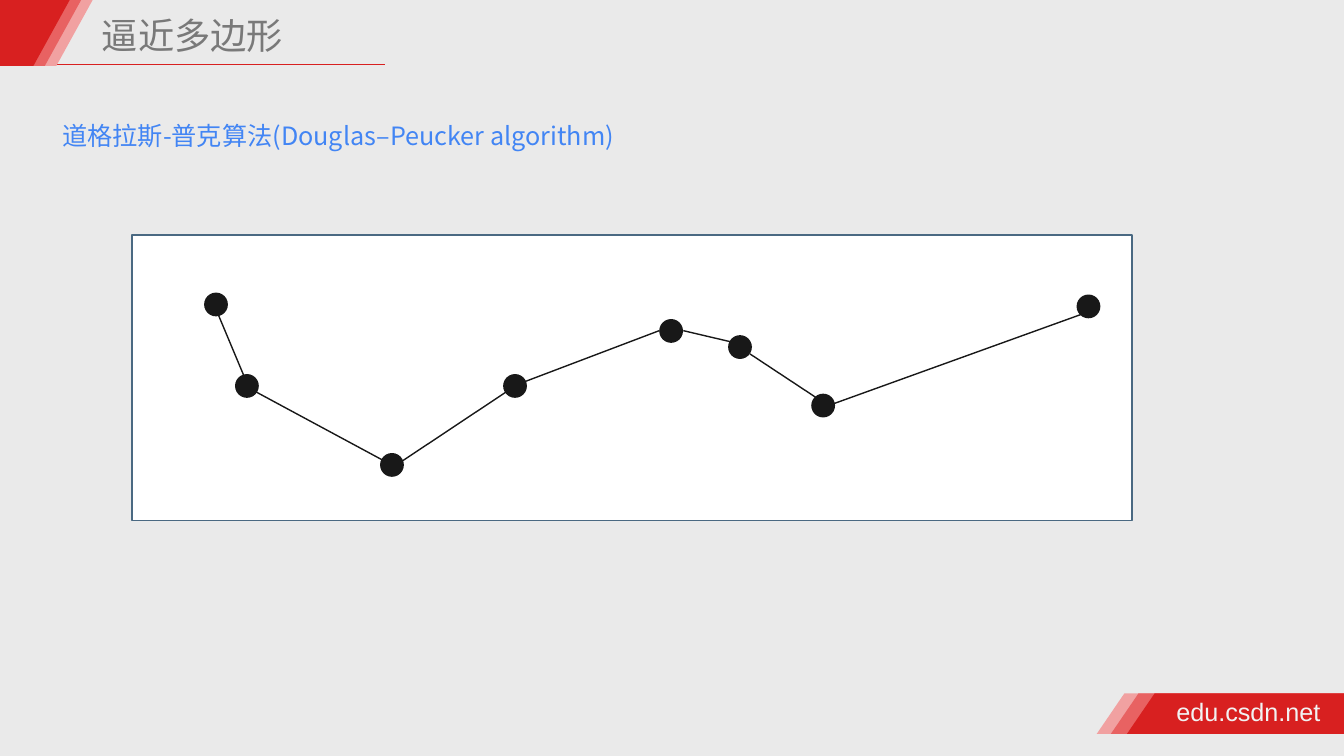
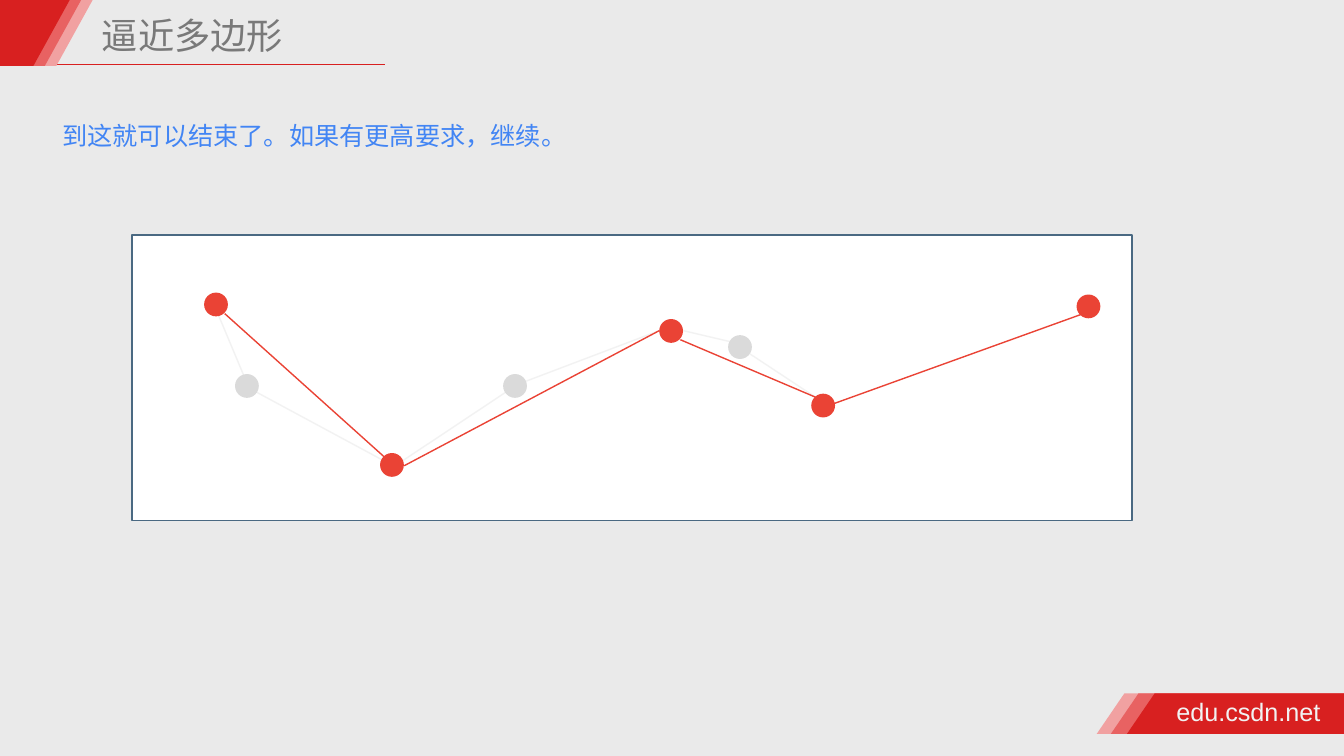
from lxml.etree import SubElement
from pptx import Presentation
from pptx.dml.color import RGBColor
from pptx.enum.shapes import MSO_CONNECTOR as CONNECTOR, MSO_SHAPE as SHAPE
from pptx.enum.text import MSO_ANCHOR as ANCHOR, MSO_AUTO_SIZE as AUTO_SIZE, PP_ALIGN as ALIGN
from pptx.oxml.ns import qn
from pptx.util import Pt

COLORS = {
    "background": "EAEAEA",
    "red": "D82020",
    "coral": "E86262",
    "pink": "F1A1A1",
    "title": "797979",
    "subtitle": "4285F4",
    "footer": "F2F2F2",
    "panel": "FFFFFF",
    "panel_edge": "4A6982",
    "ink": "181818",
    "kept": "EA4335",
    "dropped_dot": "DADADA",
    "dropped_line": "F2F2F2",
}
CJK_FONT = "Noto Sans CJK SC"
BAND_COLORS = ("pink", "coral", "red")
SLIDE_SIZE = (960, 540)
HEADER_BOX = (-1.3, 0, 67.5, 47)
FOOTER_BOX = (783.4, 495.2, 176.6, 29)
TITLE_BOX = (69.1, 3.6, 277.9, 40.3)
SUBTITLE_BOX = (37.4, 82.1, 481, 28.8)
PANEL_BOX = (94.3, 167.8, 714.2, 204)
DOT_SIZE = 17

VERTICES = [
    (60, 49.7), (82.1, 107.9), (185.7, 164.3), (273.6, 107.9),
    (385.1, 68.6), (434.3, 80.1), (493.7, 121.9), (683.2, 51.1),
]
CURVE_LINKS = [
    ((59.8, 52.6), (84.2, 110.9)),
    ((186.5, 164.9), (83.5, 109.4)),
    ((271.4, 109.4), (183.6, 167.8)),
    ((376.6, 68.4), (272.2, 108)),
    ((442.8, 79.9), (393.8, 68.4)),
    ((441.4, 85), (488.2, 115.9)),
]
LAST_LINK = ((681.8, 55.4), (496.1, 122.4))
SHORTCUT_LINKS = [
    ((66.2, 56.2), (180, 158.4)),
    ((194.4, 164.9), (376.6, 68.4)),
    ((391.7, 74.9), (488.2, 115.9)),
]
KEPT_VERTICES = {0, 2, 4, 6, 7}

SLIDES = [
    {
        "subtitle": "道格拉斯-普克算法(Douglas–Peucker algorithm)",
        "links": [("ink", CURVE_LINKS + [LAST_LINK])],
        "dots": ["ink"] * len(VERTICES),
    },
    {
        "subtitle": "到这就可以结束了。如果有更高要求，继续。",
        "links": [("dropped_line", CURVE_LINKS), ("kept", SHORTCUT_LINKS + [LAST_LINK])],
        "dots": ["kept" if index in KEPT_VERTICES else "dropped_dot"
                 for index in range(len(VERTICES))],
    },
]


def color(name):
    return RGBColor.from_string(COLORS[name])


def paint(shape, fill, edge=None):
    shape.shadow.inherit = False
    shape.fill.solid()
    shape.fill.fore_color.rgb = color(fill)
    if edge:
        shape.line.color.rgb = color(edge)
        shape.line.width = Pt(1)
    else:
        shape.line.fill.background()


def place(shape, box):
    shape.left, shape.top, shape.width, shape.height = map(Pt, box)


def write(shape, text, size, font_name, color_name, inset=None):
    frame = shape.text_frame
    frame.text = text
    if inset is not None:
        frame.margin_left = frame.margin_right = Pt(inset)
        frame.margin_top = frame.margin_bottom = Pt(inset)
    paragraph = frame.paragraphs[0]
    paragraph.alignment = ALIGN.LEFT
    for run in paragraph.runs:
        run.font.size = Pt(size)
        run.font.name = font_name
        run.font.color.rgb = color(color_name)
        east_asian = SubElement(run.font._element, qn("a:ea"))
        east_asian.set("typeface", font_name)
    return frame


def add_line(slide, start, end, color_name):
    line = slide.shapes.add_connector(CONNECTOR.STRAIGHT, *map(Pt, start + end))
    line.line.color.rgb = color(color_name)
    line.line.width = Pt(1)
    SubElement(line._element.spPr, qn("a:effectLst"))


def add_band(slide, corners, color_name):
    points = [(Pt(x), Pt(y)) for x, y in corners]
    builder = slide.shapes.build_freeform(*points[0])
    builder.add_line_segments(points[1:], close=True)
    paint(builder.convert_to_shape(), color_name)


def add_header(slide, box):
    left, top, width, height = box
    bottom = top + height
    add_line(slide, (35.3, bottom - 0.9), (275, bottom - 0.9), "red")
    for color_name, shift in zip(BAND_COLORS, (0, 8.2, 16.4)):
        right = left + width - shift
        corners = [(left, top), (right, top), (right - 25.9, bottom), (left, bottom)]
        add_band(slide, corners, color_name)


def add_footer(slide, box):
    left, top, width, height = box
    right, bottom = left + width, top + height
    for color_name, shift in zip(BAND_COLORS, (0, 10.1, 21.6)):
        start = left + shift
        corners = [(start, bottom), (start + 19.8, top), (right, top), (right, bottom)]
        add_band(slide, corners, color_name)
    label = slide.shapes.add_textbox(*map(Pt, (left + 53.2, top - 1.2, 111.6, 28.8)))
    frame = write(label, "edu.csdn.net", 18, "Arial", "footer", 3.6)
    frame.word_wrap = False


def add_headings(slide, subtitle):
    title = slide.shapes.title
    place(title, TITLE_BOX)
    frame = write(title, "逼近多边形", 25.9, CJK_FONT, "title", 3.6)
    frame.auto_size = AUTO_SIZE.NONE
    frame.vertical_anchor = ANCHOR.MIDDLE
    frame.paragraphs[0].line_spacing = 1.1
    text_box = slide.shapes.add_textbox(*map(Pt, SUBTITLE_BOX))
    write(text_box, subtitle, 18, CJK_FONT, "subtitle").word_wrap = True


def add_curve_panel(slide, box, links, dots):
    left, top = box[:2]
    panel = slide.shapes.add_shape(SHAPE.RECTANGLE, *map(Pt, box))
    paint(panel, "panel", "panel_edge")
    for color_name, segments in links:
        for start, end in segments:
            add_line(slide, (left + start[0], top + start[1]),
                     (left + end[0], top + end[1]), color_name)
    for (x, y), color_name in zip(VERTICES, dots):
        dot_box = (left + x - DOT_SIZE / 2, top + y - DOT_SIZE / 2, DOT_SIZE, DOT_SIZE)
        dot = slide.shapes.add_shape(SHAPE.OVAL, *map(Pt, dot_box))
        paint(dot, color_name)


def add_curve_slide(presentation, content):
    slide = presentation.slides.add_slide(presentation.slide_layouts[5])
    add_header(slide, HEADER_BOX)
    add_footer(slide, FOOTER_BOX)
    add_headings(slide, content["subtitle"])
    add_curve_panel(slide, PANEL_BOX, content["links"], content["dots"])


def main():
    presentation = Presentation()
    presentation.slide_width, presentation.slide_height = map(Pt, SLIDE_SIZE)
    background = presentation.slide_master.background.fill
    background.solid()
    background.fore_color.rgb = color("background")
    for content in SLIDES:
        add_curve_slide(presentation, content)
    presentation.save("out.pptx")


if __name__ == "__main__":
    main()
